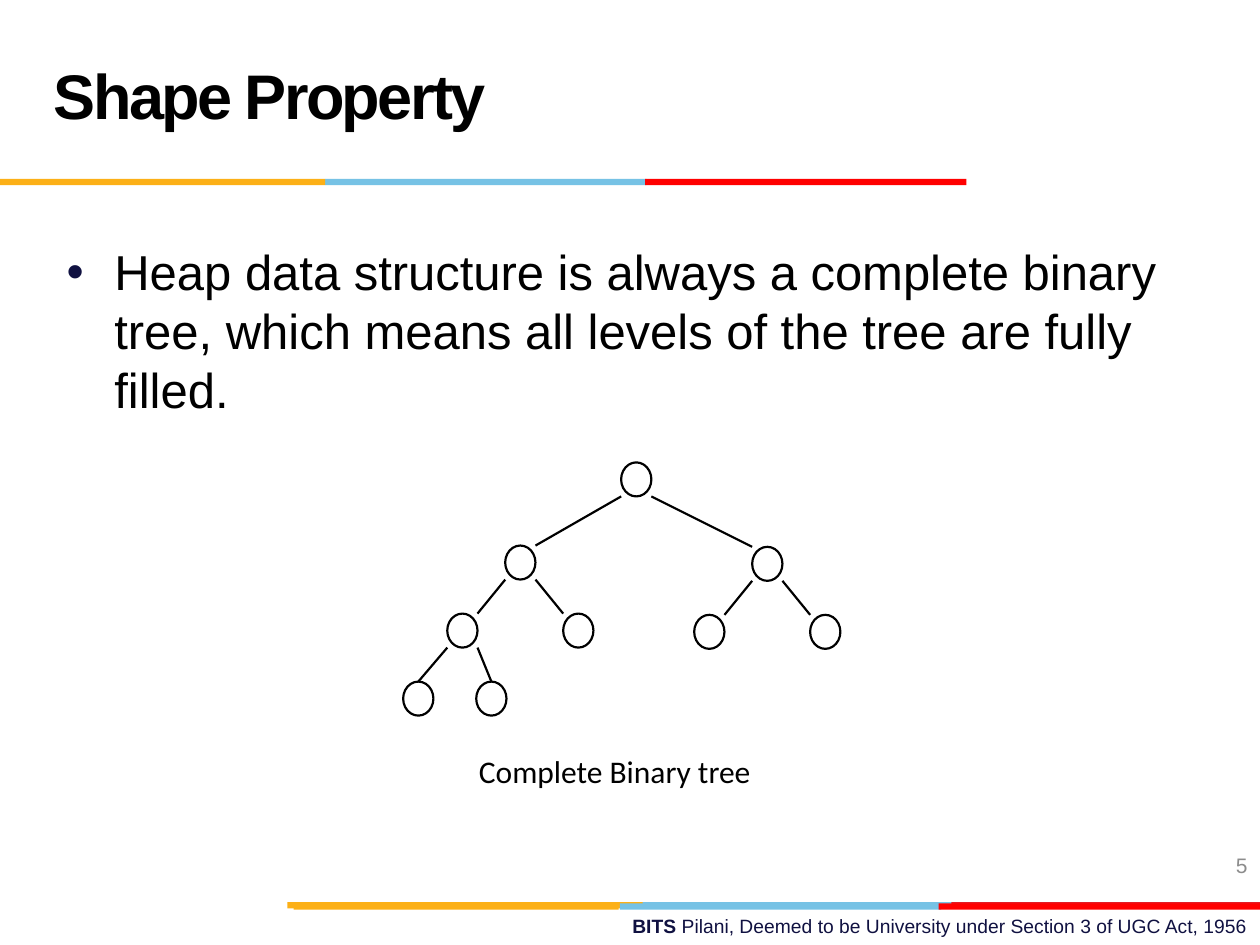
"""Build the heap shape property slide with its complete binary tree."""
from lxml import etree
from pptx import Presentation
from pptx.dml.color import RGBColor
from pptx.enum.shapes import MSO_CONNECTOR, MSO_SHAPE
from pptx.enum.text import MSO_ANCHOR, PP_ALIGN
from pptx.oxml.ns import qn
from pptx.util import Inches, Pt

OVAL, RECTANGLE = MSO_SHAPE.OVAL, MSO_SHAPE.RECTANGLE
STRAIGHT = MSO_CONNECTOR.STRAIGHT
TOP, MIDDLE = MSO_ANCHOR.TOP, MSO_ANCHOR.MIDDLE
LEFT, CENTER, RIGHT = PP_ALIGN.LEFT, PP_ALIGN.CENTER, PP_ALIGN.RIGHT

COLORS = {
    "black": "000000", "navy": "101141", "gray": "8C8C8C", "blue": "76C2E5",
    "gold": "FCB017", "crimson": "E31C24", "red": "FF0000",
}
BAR_HEIGHT = 0.05
BARS = [
    (7.16, [("blue", 5.06, 2.55), ("crimson", 7.55, 2.45), ("gold", 2.28, 2.82)]),
    (7.17, [("blue", 4.92, 2.55), ("gold", 2.33, 2.58), ("red", 7.45, 2.55)]),
    (1.42, [("blue", 2.58, 2.55), ("gold", 0, 2.58), ("red", 5.12, 2.55)]),
]
TITLE = "Shape Property"
STATEMENT = ("Heap data structure is always a complete binary tree, "
             "which means all levels of the tree are fully filled.")
CAPTION = "Complete Binary tree"
PAGE_NUMBER = "5"
FOOTER = [("BITS ", True),
          ("Pilani, Deemed to be University under Section 3 of UGC Act, 1956", False)]

NODE_WIDTH, NODE_HEIGHT, LINE_WIDTH = 0.24, 0.27, 1.25
NODES = {
    "root": (4.93, 3.67),
    "left": (4.01, 4.33), "right": (5.97, 4.34),
    "left left": (3.55, 4.87), "left right": (4.47, 4.87),
    "right left": (5.51, 4.88), "right right": (6.43, 4.88),
    "leaf left": (3.2, 5.41), "leaf right": (3.78, 5.41),
}
EDGES = [
    ("root", "left", 0, 1), ("root", "right", 1, 0),
    ("left", "left left", 0, 1), ("left", "left right", 1, 0),
    ("right", "right left", 0, 1), ("right", "right right", 1, 0),
    ("left left", "leaf left", 0, 0.5), ("left left", "leaf right", 1, 0.5),
]


def rgb(name):
    return RGBColor.from_string(COLORS[name])


def add_bar(page, color, left, top, width):
    bar = page.shapes.add_shape(
        RECTANGLE, Inches(left), Inches(top), Inches(width), Inches(BAR_HEIGHT))
    bar.shadow.inherit = False
    bar.fill.solid()
    bar.fill.fore_color.rgb = rgb(color)
    bar.line.fill.background()


def add_text(page, place, spans, size, color="black", font="Arial", align=LEFT, anchor=TOP):
    box = page.shapes.add_textbox(*map(Inches, place))
    frame = box.text_frame
    frame.word_wrap = True
    frame.vertical_anchor = anchor
    para = frame.paragraphs[0]
    para.alignment = align
    for text, bold in spans:
        span = para.add_run()
        span.text = text
        span.font.name = font
        span.font.size = Pt(size)
        span.font.bold = bold
        span.font.color.rgb = rgb(color)
    return para


def add_bullet(para, indent, color):
    properties = para._p.get_or_add_pPr()
    properties.set("marL", str(Inches(indent)))
    properties.set("indent", str(-Inches(indent)))
    tint = etree.SubElement(properties, qn("a:buClr"))
    etree.SubElement(tint, qn("a:srgbClr"), val=COLORS[color])
    etree.SubElement(properties, qn("a:buFont"), typeface="Arial")
    etree.SubElement(properties, qn("a:buChar"), char="•")


def add_node(page, left, top):
    node = page.shapes.add_shape(
        OVAL, Inches(left), Inches(top), Inches(NODE_WIDTH), Inches(NODE_HEIGHT))
    node.shadow.inherit = False
    node.fill.background()
    node.line.color.rgb = rgb("black")
    node.line.width = Pt(LINE_WIDTH)


def add_edge(page, parent, child, parent_side, child_side):
    (parent_left, parent_top), (child_left, child_top) = NODES[parent], NODES[child]
    edge = page.shapes.add_connector(
        STRAIGHT,
        Inches(parent_left + parent_side * NODE_WIDTH), Inches(parent_top + NODE_HEIGHT),
        Inches(child_left + child_side * NODE_WIDTH), Inches(child_top))
    edge.line.color.rgb = rgb("black")
    edge.line.width = Pt(LINE_WIDTH)
    etree.SubElement(edge._element.spPr, qn("a:effectLst"))


def main():
    deck = Presentation()
    deck.slide_width, deck.slide_height = Inches(10), Inches(7.5)
    page = deck.slides.add_slide(deck.slide_layouts[6])

    add_text(page, (3.58, 7.21, 6.42, 0.29), FOOTER, 11, "navy", align=RIGHT)
    for top, bars in BARS:
        for color, left, width in bars:
            add_bar(page, color, left, top, width)

    title = add_text(page, (0.33, 0.17, 6.92, 1.25), [(TITLE, True)], 36, anchor=MIDDLE)
    title.line_spacing = Pt(36)
    title.runs[0].font._element.set("spc", "-150")
    add_text(page, (7.67, 6.67, 2.33, 0.4), [(PAGE_NUMBER, False)], 12, "gray",
             align=RIGHT, anchor=MIDDLE)
    statement = add_text(page, (0.43, 1.87, 9, 4.95), [(STATEMENT, False)], 28)
    add_bullet(statement, 0.38, "navy")
    add_text(page, (3.55, 5.92, 2.66, 0.4), [(CAPTION, False)], 18,
             font="Calibri", align=CENTER)

    for left, top in NODES.values():
        add_node(page, left, top)
    for edge in EDGES:
        add_edge(page, *edge)

    deck.save("out.pptx")


if __name__ == "__main__":
    main()
